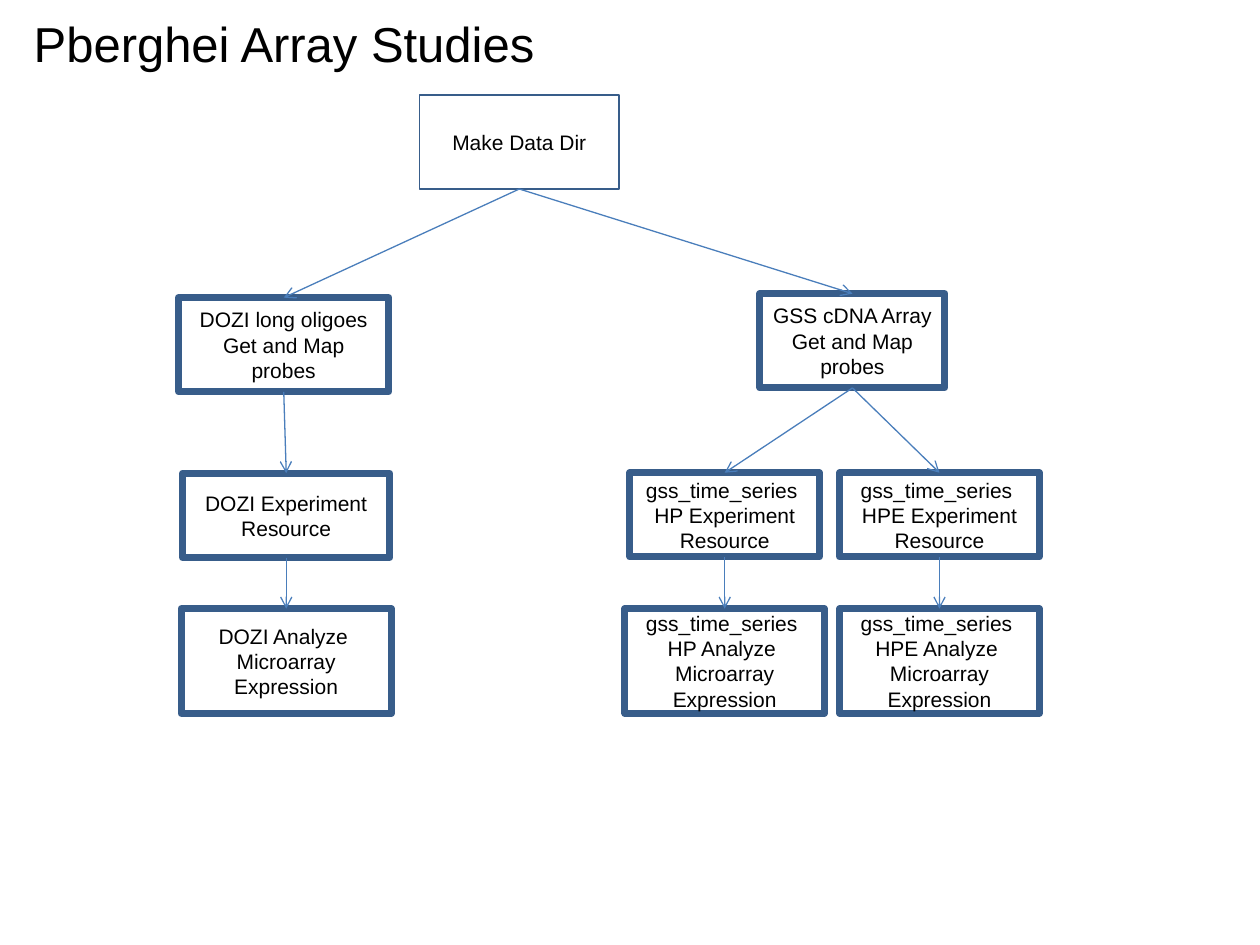
from collections import namedtuple

from lxml.etree import SubElement
from pptx import Presentation
from pptx.dml.color import RGBColor
from pptx.enum.shapes import MSO_CONNECTOR, MSO_SHAPE
from pptx.enum.text import MSO_ANCHOR, PP_ALIGN
from pptx.oxml.ns import qn
from pptx.util import Cm, Pt

Box = namedtuple("Box", "left top width height")
BLACK, BORDER, ARROW = "000000", "385D8A", "4A7EBB"
EXPERIMENT_HEIGHT, ANALYSIS_HEIGHT = 1.7, 2.11


def color(value):
    """Turn a hex string into a colour."""
    return RGBColor.from_string(value)


def lengths(box):
    """Turn a box in centimetres into slide lengths."""
    return [Cm(value) for value in box]


def write(frame, lines, size, align):
    """Fill a text frame with one paragraph for each line."""
    frame.word_wrap = True
    frame.vertical_anchor = MSO_ANCHOR.MIDDLE
    for index, line in enumerate(lines):
        para = frame.add_paragraph() if index else frame.paragraphs[0]
        para.text = line
        para.alignment = align
        para.font.name = "Arial"
        para.font.size = Pt(size)
        para.font.color.rgb = color(BLACK)


def add_title(page, box, text):
    """Place the heading in its box."""
    title = page.shapes.add_textbox(*lengths(box))
    write(title.text_frame, [text], 28, PP_ALIGN.LEFT)


def add_step(page, box, lines, weight=4):
    """Draw one outlined workflow step."""
    step = page.shapes.add_shape(MSO_SHAPE.RECTANGLE, *lengths(box))
    step.shadow.inherit = False
    step.fill.background()
    step.line.color.rgb = color(BORDER)
    step.line.width = Pt(weight)
    write(step.text_frame, lines, 12, PP_ALIGN.CENTER)
    return step


def add_arrow(page, upper, lower):
    """Link the bottom of one step to the top of another."""
    arrow = page.shapes.add_connector(MSO_CONNECTOR.STRAIGHT, 0, 0, 0, 0)
    arrow.begin_connect(upper, 2)
    arrow.end_connect(lower, 0)
    arrow.line.color.rgb = color(ARROW)
    arrow.line.width = Pt(0.75)
    SubElement(arrow.line._get_or_add_ln(), qn("a:tailEnd"), type="arrow")
    SubElement(arrow._element.spPr, qn("a:effectLst"))


def add_study(page, box, name, probes, inset=0):
    """Stack the experiment and analysis steps of a study below its probes."""
    experiment = add_step(
        page,
        Box(box.left + inset, box.top, box.width - 2 * inset, EXPERIMENT_HEIGHT),
        [f"{name} Experiment", "Resource"],
    )
    analysis_top = box.top + box.height - ANALYSIS_HEIGHT
    analysis = add_step(
        page,
        Box(box.left, analysis_top, box.width, ANALYSIS_HEIGHT),
        [f"{name} Analyze ", "Microarray Expression"],
    )
    add_arrow(page, probes, experiment)
    add_arrow(page, experiment, analysis)


def main():
    """Build and save the workflow slide."""
    deck = Presentation()
    deck.slide_width, deck.slide_height = Cm(25.4), Cm(19.05)
    page = deck.slides.add_slide(deck.slide_layouts[6])

    add_title(page, Box(0.43, 0.2, 19.69, 1.35), "Pberghei Array Studies")
    root = add_step(page, Box(8.46, 1.91, 4.02, 1.9), ["Make Data Dir"], 1)
    dozi = add_step(page, Box(3.6, 6, 4.24, 1.9),
                    ["DOZI long oligoes", "Get and Map probes"])
    gss = add_step(page, Box(15.32, 5.92, 3.73, 1.9),
                   ["GSS cDNA Array", "Get and Map probes"])
    for probes in (dozi, gss):
        add_arrow(page, root, probes)

    add_study(page, Box(3.65, 9.54, 4.24, 4.84), "DOZI", dozi, 0.03)
    add_study(page, Box(12.6, 9.53, 4.02, 4.85), "gss_time_series  HP", gss, 0.1)
    add_study(page, Box(16.93, 9.53, 4.02, 4.85), "gss_time_series  HPE", gss)
    deck.save("out.pptx")


if __name__ == "__main__":
    main()
